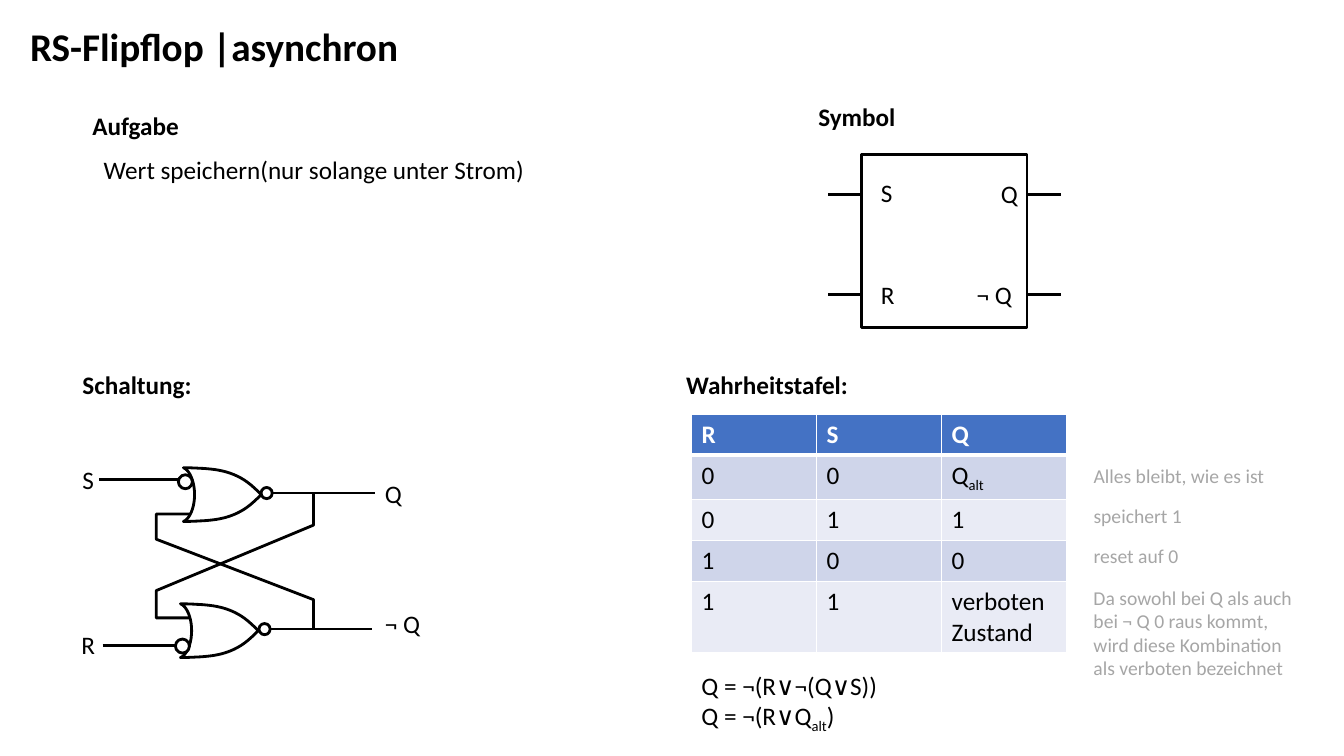
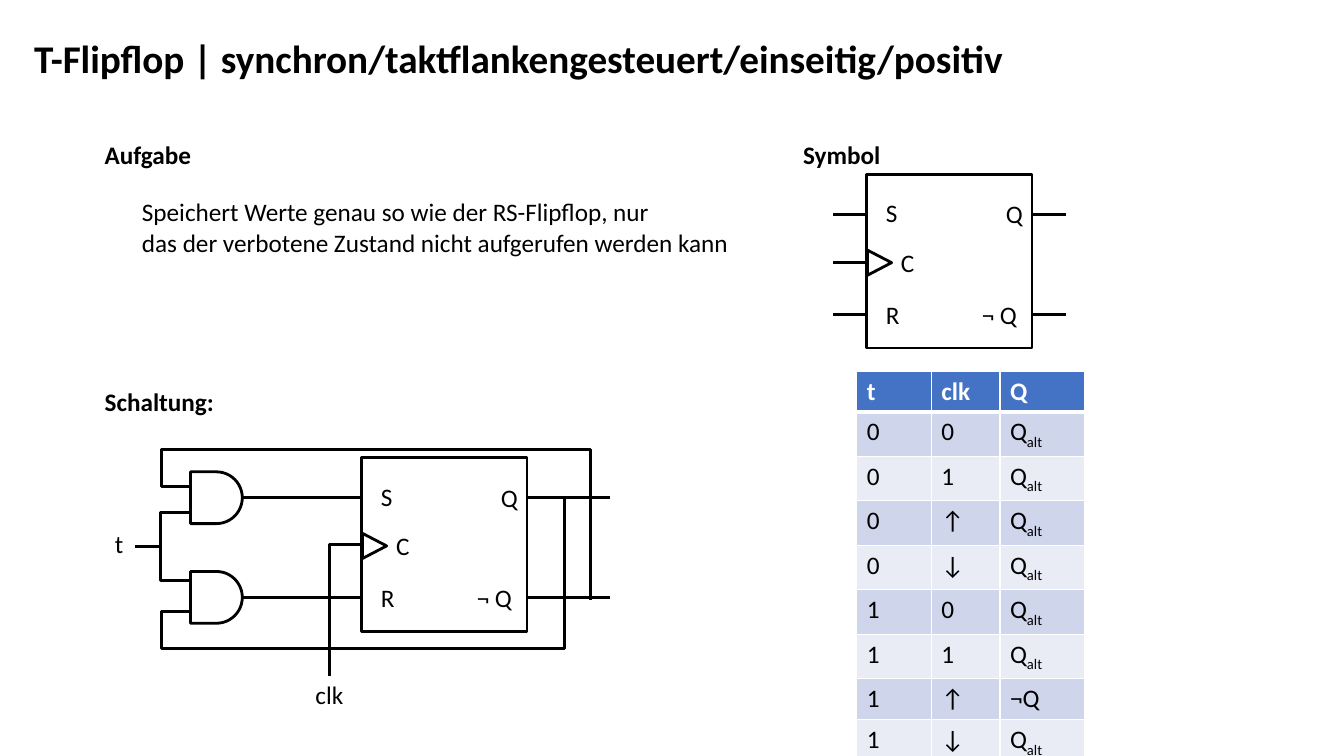
import pptx
import pptx.dml.color
import pptx.enum.shapes
import pptx.enum.text
import pptx.oxml.ns
import pptx.util
from lxml import etree

Pt = pptx.util.Pt
RGBColor = pptx.dml.color.RGBColor
KIND = pptx.enum.shapes.MSO_SHAPE

BLACK = RGBColor(0x00, 0x00, 0x00)
WHITE = RGBColor(0xFF, 0xFF, 0xFF)
GRAY = RGBColor(0xA6, 0xA6, 0xA6)
BLUE = RGBColor(0x44, 0x72, 0xC4)
BANDS = [RGBColor(0xE9, 0xEB, 0xF5), RGBColor(0xCF, 0xD5, 0xEA)]

STYLES = {
    "title": (BLACK, {"name": "Calibri", "size": Pt(28), "bold": True}),
    "heading": (BLACK, {"name": "Calibri", "size": Pt(18), "bold": True}),
    "body": (BLACK, {"name": "Calibri", "size": Pt(18), "bold": False}),
    "note": (GRAY, {"name": "Calibri", "size": Pt(14), "bold": False}),
    "header": (WHITE, {"name": "Calibri", "size": Pt(18), "bold": True}),
}

FRAME_WIDTH, FRAME_HEIGHT = 118, 124
PIN_OFFSETS = [28.6, 100]
ROW_HEIGHT = 29.2
LABEL_HEIGHT = 29
FRAME_LABELS = [
    ("S", 6.5, 13, 23),
    ("R", 6.5, 85.7, 24.5),
    ("Q", 92.2, 13.7, 26.6),
    ("¬ Q", 75, 85.7, 44),
]

GATE_CURVES = [
    [(0, 0), (4, 0), (8, 0.2), (12, 0.4)],
    [(12, 0.4), (18.7, 0.7), (25.2, 1.5), (30.2, 2.9)],
    [(30.2, 2.9), (40.3, 5.8), (46.8, 10.1), (55.6, 19.2)],
    [(55.6, 19.2), (46.8, 28.3), (40.3, 32.6), (30.2, 35.5)],
    [(30.2, 35.5), (25.2, 36.9), (18.7, 37.7), (12, 38)],
    [(12, 38), (8, 38.2), (4, 38.4), (0, 38.4)],
    [(0, 38.4), (4.5, 36.7), (8, 28.6), (8, 19.2)],
    [(8, 19.2), (8, 9.8), (4.5, 1.7), (0, 0)],
]
STEPS = 10
GATE_OUTLINE = []
for curve in GATE_CURVES:
    for step in range(STEPS):
        t = step / STEPS
        weights = [(1 - t) ** 3, 3 * t * (1 - t) ** 2, 3 * t * t * (1 - t), t ** 3]
        GATE_OUTLINE.append(
            tuple(sum(w * point[axis] for w, point in zip(weights, curve)) for axis in (0, 1))
        )

PAGES = [
    {
        "texts": [
            ("RS-Flipflop |asynchron", "title", 14.4, 12.2, 284.4, 41),
            ("Aufgabe", "heading", 59, 75, 77, LABEL_HEIGHT),
            ("Symbol", "heading", 577.4, 69, 70, LABEL_HEIGHT),
            ("Schaltung:", "heading", 51.8, 260.6, 93, LABEL_HEIGHT),
            ("Wahrheitstafel:", "heading", 483, 260.6, 131, LABEL_HEIGHT),
            ("Wert speichern(nur solange unter Strom)", "body", 67, 106.6, 318.2, LABEL_HEIGHT),
            ("Q = ¬(R∨¬(Q∨S))\nQ = ¬(R∨Q~alt~)", "body", 494, 475.2, 149, 51),
            ("Alles bleibt, wie es ist", "note", 774, 327.6, 138.2, 24.2),
            ("speichert 1", "note", 774, 356.4, 78.5, 24.2),
            ("reset auf 0", "note", 774, 385.2, 75.6, 24.2),
            ("Da sowohl bei Q als auch bei ¬ Q 0 raus kommt, wird diese Kombination "
             "als verboten bezeichnet", "note", 774, 414.7, 160.6, 75),
            ("S", "body", 51.8, 328.3, 23, LABEL_HEIGHT),
            ("R", "body", 51.1, 445.7, 24.5, LABEL_HEIGHT),
            ("Q", "body", 267.8, 338.4, 26.6, LABEL_HEIGHT),
            ("¬ Q", "body", 267.8, 431.3, 44, LABEL_HEIGHT),
        ],
        "flipflops": [(615.6, 110.2, 24, 24, False)],
        "wires": [
            [(70.6, 342.7), (136.8, 342.7)],
            [(194.4, 352.1), (267.8, 352.1)],
            [(192.2, 449.3), (265.7, 449.3)],
            [(73.4, 460.8), (136.1, 460.8)],
            [(136, 367.2), (111.6, 367.2), (111.6, 385.2), (224, 428.4), (224, 449.3)],
            [(136, 441.4), (111.6, 441.4), (111.6, 421.9), (224, 375.1), (224, 352.1)],
        ],
        "or_gates": [(131, 334.1), (128.9, 431.3)],
        "shapes": [
            (KIND.OVAL, 186.5, 348.2, 8),
            (KIND.OVAL, 185, 445.4, 8),
            (KIND.OVAL, 127.4, 339.1, 10),
            (KIND.OVAL, 125.3, 456.5, 10),
        ],
        "table": {
            "place": (494, 296),
            "widths": [89.3, 89.3, 89.3],
            "rows": ["R S Q", "0 0 Q~alt~", "0 1 1", "1 0 0", "1 1 verboten Zustand"],
        },
    },
    {
        "texts": [
            ("T-Flipflop | synchron/taktflankengesteuert/einseitig/positiv", "title",
             17.3, 21, 733, 41),
            ("Aufgabe", "heading", 67.7, 95.8, 77, LABEL_HEIGHT),
            ("Symbol", "heading", 566.6, 95.8, 70, LABEL_HEIGHT),
            ("Schaltung:", "heading", 67.7, 272.2, 93, LABEL_HEIGHT),
            ("Speichert Werte genau so wie der RS-Flipflop, nur\n"
             "das der verbotene Zustand nicht aufgerufen werden kann", "body",
             94.3, 137, 438.5, 51),
            ("t", "body", 75, 373.7, 21, LABEL_HEIGHT),
            ("clk", "body", 218.2, 481.7, 34.6, LABEL_HEIGHT),
        ],
        "flipflops": [(619.2, 124.6, 24, 24, True), (258.5, 326.9, 85, 59, True)],
        "wires": [
            [(595, 187.6), (619, 187.6)],
            [(96.5, 390.2), (114.5, 390.2), (114.5, 365.8), (136.1, 365.8)],
            [(96.5, 390.2), (114.5, 390.2), (114.5, 414.7), (136.1, 414.7)],
            [(136.1, 437), (115.2, 437), (115.2, 463), (403.2, 463), (403.2, 355.7)],
            [(136.8, 347.8), (115.2, 347.8), (115.2, 321.1), (421.9, 321.1), (421.9, 428.4)],
            [(259.2, 388.8), (235.4, 388.8), (235.4, 483.1)],
        ],
        "or_gates": [],
        "shapes": [
            (KIND.FLOWCHART_DELAY, 136.1, 337, 37),
            (KIND.FLOWCHART_DELAY, 136.1, 408.2, 37),
        ],
        "table": {
            "place": (612, 265),
            "widths": [53.3, 49, 60.5],
            "rows": ["t clk Q", "0 0 Q~alt~", "0 1 Q~alt~", "0 ↑ Q~alt~", "0 ↓ Q~alt~",
                     "1 0 Q~alt~", "1 1 Q~alt~", "1 ↑ ¬Q", "1 ↓ Q~alt~"],
        },
    },
]


def write_text(frame, content, style):
    color, values = STYLES[style]
    for index, line in enumerate(content.split("\n")):
        para = frame.paragraphs[0] if index == 0 else frame.add_paragraph()
        for order, piece in enumerate(line.split("~")):
            if piece:
                span = para.add_run()
                span.text = piece
                span.font.color.rgb = color
                for name, value in values.items():
                    setattr(span.font, name, value)
                if order % 2:
                    span._r.get_or_add_rPr().set("baseline", "-25000")


def trace(page, points, closed):
    corners = [(Pt(x), Pt(y)) for x, y in points]
    builder = page.shapes.build_freeform(*corners[0], scale=1.0)
    builder.add_line_segments(corners[1:], close=closed)
    return builder.convert_to_shape()


deck = pptx.Presentation()
deck.slide_width, deck.slide_height = Pt(960), Pt(540)

for content in PAGES:
    page = deck.slides.add_slide(deck.slide_layouts[6])
    texts, wires = list(content["texts"]), list(content["wires"])
    filled, outlined = [], []

    for left, top, left_pin, right_pin, clocked in content["flipflops"]:
        right = left + FRAME_WIDTH
        for offset in PIN_OFFSETS:
            wires.append([(left - left_pin, top + offset), (left, top + offset)])
            wires.append([(right, top + offset), (right + right_pin, top + offset)])
        labels = FRAME_LABELS + ([("C", 17.3, 48.2, 24.5)] if clocked else [])
        for label, across, down, width in labels:
            texts.append((label, "body", left + across, top + down, width, LABEL_HEIGHT))

    for points in wires:
        if len(points) == 2:
            ends = [Pt(value) for point in points for value in point]
            wire = page.shapes.add_connector(pptx.enum.shapes.MSO_CONNECTOR.STRAIGHT, *ends)
            etree.SubElement(wire._element.spPr, pptx.oxml.ns.qn("a:effectLst"))
            wire.line.color.rgb = BLACK
            wire.line.width = Pt(2)
        else:
            outlined.append(trace(page, points, False))

    for left, top, left_pin, right_pin, clocked in content["flipflops"]:
        filled.append(page.shapes.add_shape(
            KIND.RECTANGLE, Pt(left), Pt(top), Pt(FRAME_WIDTH), Pt(FRAME_HEIGHT)))
        if clocked:
            clock = page.shapes.add_shape(
                KIND.ISOSCELES_TRIANGLE, Pt(left), Pt(top + 54.4), Pt(18), Pt(17.3))
            clock.rotation = 90
            outlined.append(clock)
    for left, top in content["or_gates"]:
        filled.append(trace(page, [(left + x, top + y) for x, y in GATE_OUTLINE], True))
    for kind, left, top, size in content["shapes"]:
        filled.append(page.shapes.add_shape(kind, Pt(left), Pt(top), Pt(size), Pt(size)))

    for shape in filled:
        shape.fill.solid()
        shape.fill.fore_color.rgb = WHITE
    for shape in outlined:
        shape.fill.background()
    for shape in filled + outlined:
        shape.shadow.inherit = False
        shape.line.color.rgb = BLACK
        shape.line.width = Pt(2)

    for words, style, left, top, width, height in texts:
        box = page.shapes.add_textbox(Pt(left), Pt(top), Pt(width), Pt(height))
        box.text_frame.word_wrap = style == "note" and height > LABEL_HEIGHT
        box.text_frame.auto_size = pptx.enum.text.MSO_AUTO_SIZE.SHAPE_TO_FIT_TEXT
        write_text(box.text_frame, words, style)

    plan = content["table"]
    rows, widths = plan["rows"], plan["widths"]
    left, top = plan["place"]
    table = page.shapes.add_table(
        len(rows), len(widths), Pt(left), Pt(top), Pt(sum(widths)), Pt(ROW_HEIGHT * len(rows))
    ).table
    for column, width in zip(table.columns, widths):
        column.width = Pt(width)
    for row_index, row in enumerate(rows):
        table.rows[row_index].height = Pt(ROW_HEIGHT)
        for column_index, words in enumerate(row.split(" ", 2)):
            cell = table.cell(row_index, column_index)
            write_text(cell.text_frame, words, "body" if row_index else "header")
            properties = cell._tc.get_or_add_tcPr()
            for side in ("lnL", "lnR", "lnT", "lnB"):
                thick = (row_index, side) in [(0, "lnB"), (1, "lnT")]
                border = etree.SubElement(
                    properties, pptx.oxml.ns.qn("a:" + side), w=str(Pt(3 if thick else 1)))
                paint = etree.SubElement(border, pptx.oxml.ns.qn("a:solidFill"))
                etree.SubElement(paint, pptx.oxml.ns.qn("a:srgbClr"), val=str(WHITE))
            cell.fill.solid()
            cell.fill.fore_color.rgb = BANDS[row_index % 2] if row_index else BLUE

deck.save("out.pptx")
